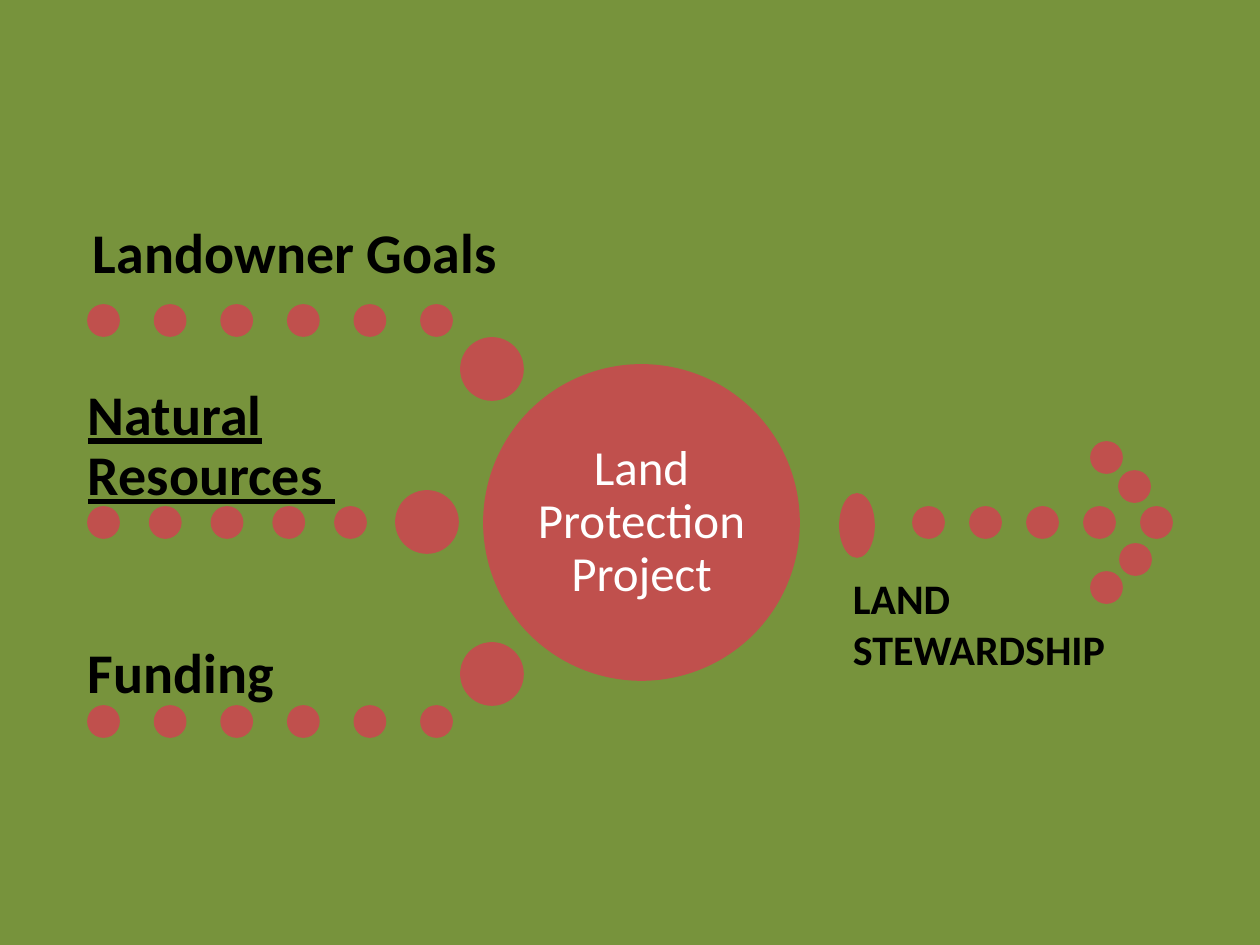
"""Build the land protection slide: three dotted inputs, a hub and an outgoing arrow."""
from dataclasses import dataclass

from pptx import Presentation
from pptx.dml.color import RGBColor
from pptx.enum.shapes import MSO_SHAPE
from pptx.enum.text import MSO_ANCHOR, PP_ALIGN
from pptx.slide import Slide
from pptx.util import Emu, Pt

OVAL = MSO_SHAPE.OVAL
TOP, MIDDLE, BOTTOM = MSO_ANCHOR.TOP, MSO_ANCHOR.MIDDLE, MSO_ANCHOR.BOTTOM
LEFT, CENTER = PP_ALIGN.LEFT, PP_ALIGN.CENTER
PX_PER_INCH = 126
DOT = 31
BEAD = 62
GREEN, RED, WHITE, BLACK = "77933C", "C0504D", "FFFFFF", "000000"


@dataclass(frozen=True)
class Oval:
    left: int
    top: int
    width: int
    height: int


@dataclass(frozen=True)
class DotRow:
    first: int
    last: int
    top: int
    count: int


@dataclass(frozen=True)
class Label:
    text: str
    left: int
    top: int
    width: int
    height: int
    size: int = 32
    color: str = BLACK
    bold: bool = True
    underline: bool = False
    anchor: MSO_ANCHOR = BOTTOM
    align: PP_ALIGN = LEFT
    spacing: float = 0.9
    inset_x: int = 0
    inset_y: int = 0


ROWS = [
    DotRow(913, 1141, 507, 5),
    DotRow(88, 421, 305, 6),
    DotRow(88, 335, 507, 5),
    DotRow(88, 421, 706, 6),
]
ARROW_DOTS = [(1091, 442), (1091, 572), (1119, 471), (1120, 544)]
BEADS = [(461, 338), (396, 491), (461, 643)]
OVALS = [
    Oval(484, 365, 315, 315),
    Oval(840, 494, 34, 63),
    *(Oval(left, top, DOT, DOT) for left, top in ARROW_DOTS),
    *(Oval(left, top, BEAD, BEAD) for left, top in BEADS),
]
LABELS = [
    Label("Land Protection Project", 530, 411, 223, 223, size=28, color=WHITE,
          bold=False, anchor=MIDDLE, align=CENTER, inset_x=5, inset_y=5),
    Label("Landowner Goals", 93, 210, 464, 76),
    Label("Natural Resources ", 88, 427, 276, 81, underline=True),
    Label("Funding", 88, 625, 364, 81),
    Label("LAND STEWARDSHIP", 840, 567, 315, 115, size=24, anchor=TOP,
          spacing=1.0, inset_x=13, inset_y=6),
]


def px(value: float) -> Emu:
    """Turn pixels into EMU."""
    return Emu(round(value * 914400 / PX_PER_INCH))


def rgb(color: str) -> RGBColor:
    """Turn a hex string into a colour."""
    return RGBColor.from_string(color)


def draw_oval(page: Slide, left: float, top: float, width: int, height: int) -> None:
    """Draw one red oval."""
    oval = page.shapes.add_shape(OVAL, px(left), px(top), px(width), px(height))
    oval.shadow.inherit = False
    oval.fill.solid()
    oval.fill.fore_color.rgb = rgb(RED)
    oval.line.color.rgb = rgb(RED)
    oval.line.width = Pt(1)


def draw_row(page: Slide, row: DotRow) -> None:
    """Draw evenly spaced dots from the first to the last position."""
    step = (row.last - row.first) / (row.count - 1)
    for index in range(row.count):
        draw_oval(page, row.first + index * step, row.top, DOT, DOT)


def draw_label(page: Slide, label: Label) -> None:
    """Draw one wrapped text label."""
    box = page.shapes.add_textbox(
        px(label.left), px(label.top), px(label.width), px(label.height))
    frame = box.text_frame
    frame.word_wrap = True
    frame.vertical_anchor = label.anchor
    frame.margin_left = frame.margin_right = px(label.inset_x)
    frame.margin_top = frame.margin_bottom = px(label.inset_y)
    frame.text = label.text
    para = frame.paragraphs[0]
    para.alignment = label.align
    para.line_spacing = label.spacing
    font = para.runs[0].font
    font.name = "Calibri"
    font.size = Pt(label.size)
    font.bold = label.bold
    font.underline = label.underline
    font.color.rgb = rgb(label.color)


def main() -> None:
    """Build and save the deck."""
    deck = Presentation()
    deck.slide_width, deck.slide_height = px(1260), px(945)
    page = deck.slides.add_slide(deck.slide_layouts[6])
    page.background.fill.solid()
    page.background.fill.fore_color.rgb = rgb(GREEN)
    for row in ROWS:
        draw_row(page, row)
    for oval in OVALS:
        draw_oval(page, oval.left, oval.top, oval.width, oval.height)
    for label in LABELS:
        draw_label(page, label)
    deck.save("out.pptx")


if __name__ == "__main__":
    main()
